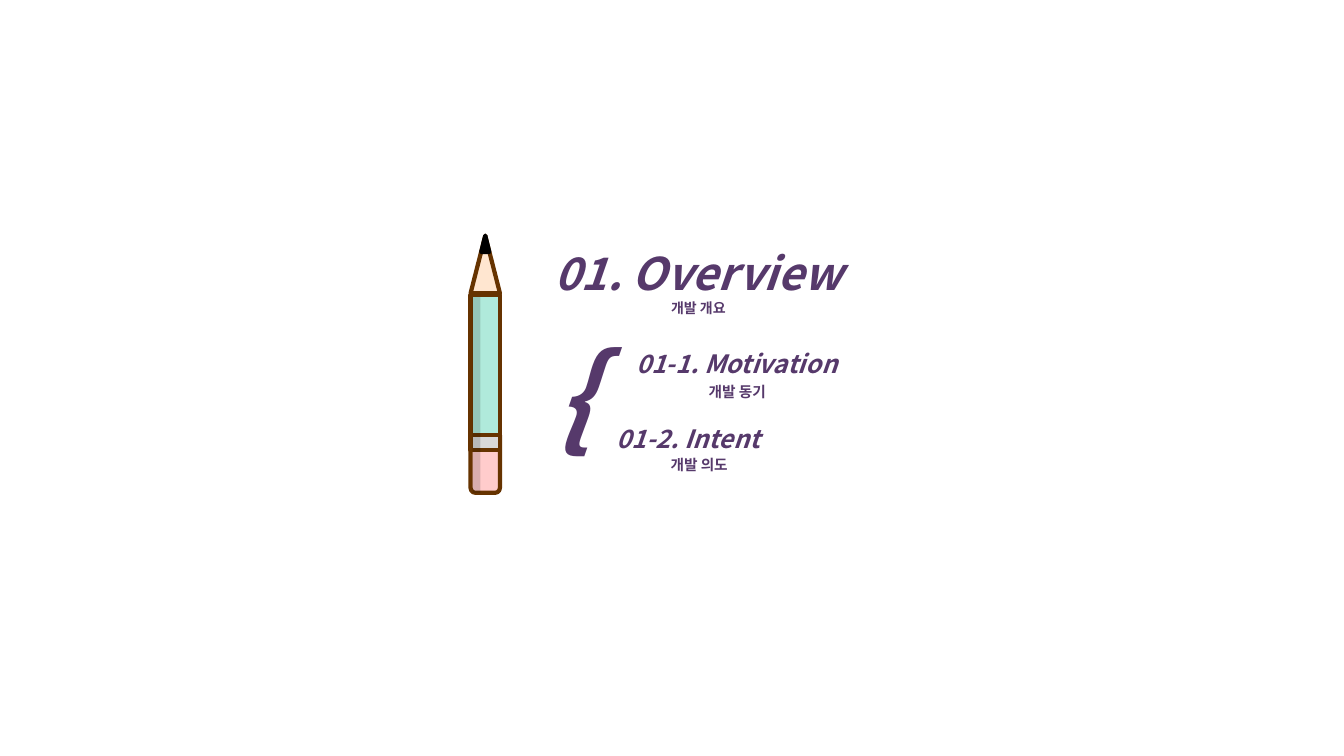
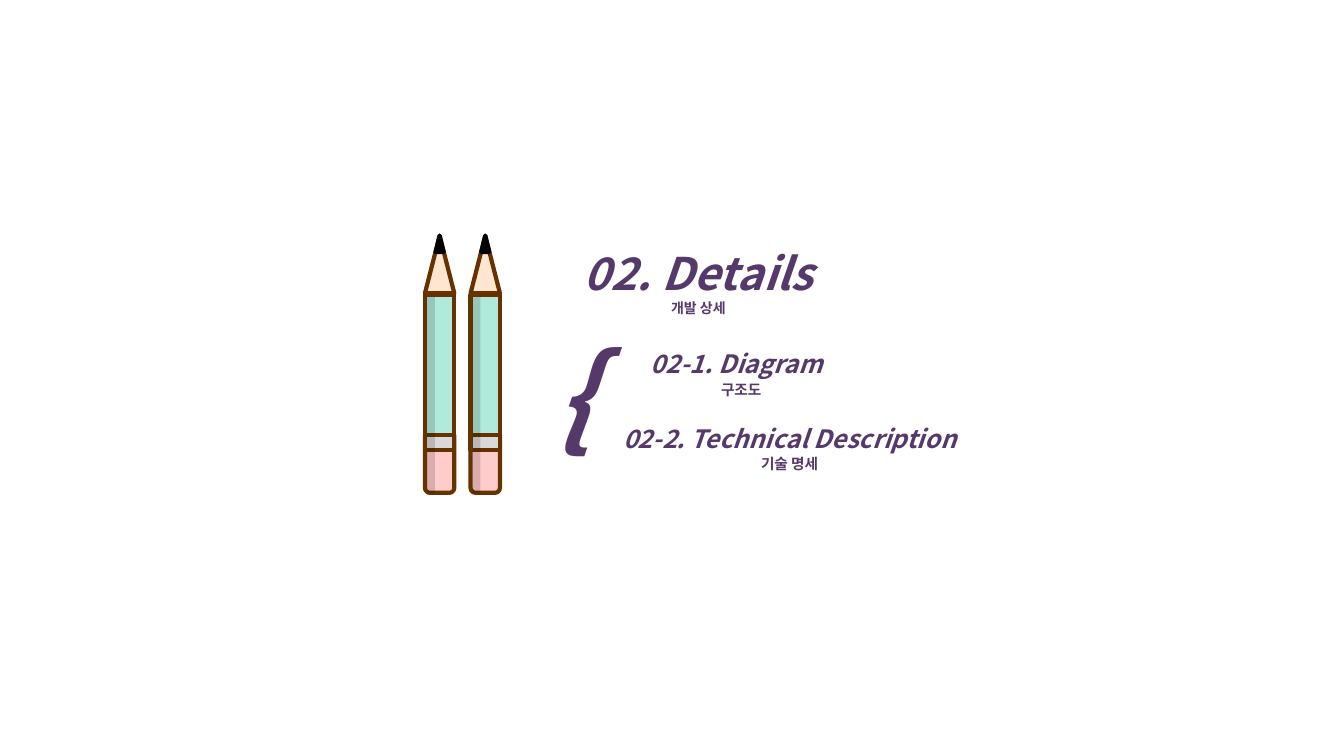
from dataclasses import dataclass

from lxml import etree
from pptx import Presentation
from pptx.dml.color import RGBColor
from pptx.enum import shapes, text
from pptx.oxml import ns
from pptx.util import Cm, Pt

Kind = shapes.MSO_SHAPE


@dataclass(frozen=True)
class Theme:
    font: str = "Noto Sans CJK KR"
    ink: str = "56396B"
    edge: str = "663300"
    body: str = "B0EADB"
    rubber: str = "FFCCCC"
    band: str = "D9D9D9"
    wood: str = "FFE6D0"
    lead: str = "000000"
    shade: int = 15
    line: float = 3
    title: float = 32
    sub: float = 10
    topic: float = 18
    note: float = 10.5
    brace: float = 80


class Deck:
    def __init__(self, theme):
        self.theme = theme
        self.file = Presentation()
        self.file.slide_width = Cm(33.87)
        self.file.slide_height = Cm(19.05)
        self.slide = None

    def page(self):
        self.slide = self.file.slides.add_slide(self.file.slide_layouts[6])

    def label(self, box, *lines, align=text.PP_ALIGN.CENTER):
        shape = self.slide.shapes.add_textbox(*map(Cm, box))
        frame = shape.text_frame
        frame.word_wrap = True
        frame.auto_size = text.MSO_AUTO_SIZE.SHAPE_TO_FIT_TEXT
        frame.text = "\n".join(words for words, size, slant in lines)
        for para, (words, size, slant) in zip(frame.paragraphs, lines):
            para.alignment = align
            font = para.runs[0].font
            font.size = Pt(size)
            font.bold = True
            font.italic = slant
            font.color.rgb = RGBColor.from_string(self.theme.ink)
            font.name = self.theme.font
            latin = para.runs[0]._r.rPr.find(ns.qn("a:latin"))
            east = etree.Element(ns.qn("a:ea"), typeface=self.theme.font)
            latin.addnext(east)

    def title(self, words, sub):
        look = self.theme
        self.label((12.42, 6.07, 10.36, 2.06),
                   (words, look.title, True), (sub, look.sub, False))

    def topic(self, words, left, top, width=7.82):
        self.label((left, top, width, 1.02), (words, self.theme.topic, True))

    def note(self, words, left, top):
        self.label((left, top, 5.16, 0.71), (words, self.theme.note, False))

    def brace(self):
        self.label((13.72, 8.08, 0.91, 3.68), ("{", self.theme.brace, True),
                   align=text.PP_ALIGN.LEFT)

    def piece(self, group, kind, box, fill, edge=None):
        shape = group.shapes.add_shape(kind, *map(Cm, box))
        shape.shadow.inherit = False
        shape.fill.solid()
        shape.fill.fore_color.rgb = RGBColor.from_string(fill)
        if edge:
            shape.line.color.rgb = RGBColor.from_string(edge)
            shape.line.width = Pt(self.theme.line)
        else:
            shape.line.fill.background()
        return shape

    def pencil(self, left):
        look = self.theme
        group = self.slide.shapes.add_group_shape()
        wide = 0.74
        self.piece(group, Kind.RECTANGLE, (left, 7.44, wide, 3.53),
                   look.body, look.edge)
        rubber = self.piece(group, Kind.ROUND_2_SAME_RECTANGLE,
                            (left, 10.97, wide, 1.45), look.rubber, look.edge)
        rubber.adjustments[0] = 0
        rubber.adjustments[1] = 0.17
        self.piece(group, Kind.RECTANGLE, (left, 10.97, wide, 0.38),
                   look.band, look.edge)
        self.piece(group, Kind.ISOSCELES_TRIANGLE, (left, 5.94, wide, 1.45),
                   look.wood, look.edge)
        self.piece(group, Kind.ISOSCELES_TRIANGLE,
                   (left + 0.27, 5.94, 0.2, 0.41), look.lead, look.lead)
        shade = self.piece(group, Kind.RECTANGLE,
                           (left + 0.05, 7.49, 0.2, 4.93), look.lead)
        color = next(shade.element.spPr.iter(ns.qn("a:srgbClr")))
        etree.SubElement(color, ns.qn("a:alpha"), val=str(look.shade * 1000))

    def section(self, count, title, sub, topics, notes):
        self.page()
        self.title(title, sub)
        for step in range(count):
            self.pencil(11.86 - 1.15 * step)
        for item in topics:
            self.topic(*item)
        for item in notes:
            self.note(*item)
        self.brace()


def main():
    deck = Deck(Theme())
    deck.section(
        1, "01. Overview", "개발 개요",
        [("01-1. Motivation", 14.66, 8.66),
         ("01-2. Intent", 13.44, 10.54)],
        [("개발 동기", 16, 9.53), ("개발 의도", 15.04, 11.35)])
    deck.section(
        2, "02. Details", "개발 상세",
        [("02-1. Diagram", 14.66, 8.66),
         ("02-2. Technical Description", 13.44, 10.54, 12.93)],
        [("구조도", 16.1, 9.47), ("기술 명세", 17.32, 11.33)])
    deck.file.save("out.pptx")


if __name__ == "__main__":
    main()
